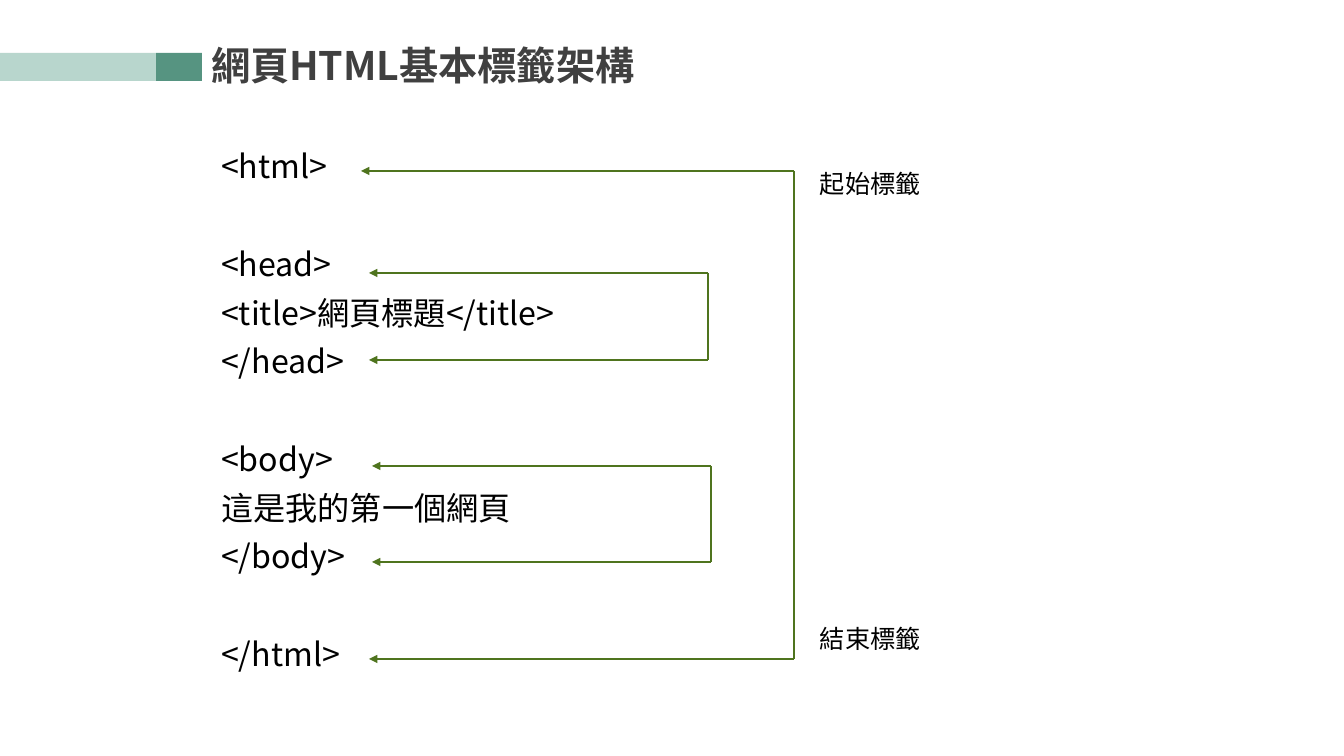
"""Build the slide on the basic tag structure of an HTML page."""
from lxml.etree import SubElement
from pptx import Presentation
from pptx.dml.color import RGBColor as Rgb
from pptx.enum.shapes import MSO_CONNECTOR as Connector, MSO_SHAPE as Preset
from pptx.enum.text import MSO_ANCHOR as Anchor, MSO_AUTO_SIZE as AutoSize, PP_ALIGN as Align
from pptx.oxml.ns import qn
from pptx.util import Pt

EMU_PER_PX = 914400 / 100.8
CJK_FONT = "Noto Sans CJK SC"
COLORS = {"title": "404040", "text": "000000", "dark": "569481",
          "light": "B8D6CD", "bracket": "4F741E"}


def px(*lengths):
    return [round(length * EMU_PER_PX) for length in lengths]


def write(paragraph, text, color, **font_format):
    run = paragraph.add_run()
    run.text = text
    for key, value in font_format.items():
        setattr(run.font, key, value)
    run.font.color.rgb = Rgb.from_string(COLORS[color])
    if font_format["name"] == CJK_FONT:
        SubElement(run.font._element, qn("a:ea"), typeface=CJK_FONT)


deck = Presentation()
deck.slide_width, deck.slide_height = px(1344, 756)
slide = deck.slides.add_slide(deck.slide_layouts[1])
heading, listing = slide.shapes.title, slide.placeholders[1]

for holder, place, anchor in (
    (heading, (201, 42, 1143, 52), Anchor.MIDDLE),
    (listing, (211, 146, 853, 547), Anchor.TOP),
):
    holder.left, holder.top, holder.width, holder.height = px(*place)
    frame_format = {"word_wrap": True, "auto_size": AutoSize.NONE, "vertical_anchor": anchor}
    for key, value in frame_format.items():
        setattr(holder.text_frame, key, value)

title_line = heading.text_frame.paragraphs[0]
title_line.alignment, title_line.line_spacing = Align.LEFT, 0.9
write(title_line, "網頁HTML基本標籤架構", "title", name=CJK_FONT, size=Pt(28), bold=True)

banner = slide.shapes.add_group_shape()
for left, width, color in ((156, 46, "dark"), (0, 156, "light")):
    band = banner.shapes.add_shape(Preset.RECTANGLE, *px(left, 53, width, 28))
    band.shadow.inherit = False
    band.fill.solid()
    band.fill.fore_color.rgb = Rgb.from_string(COLORS[color])
    band.line.fill.background()

code_blocks = (
    ("<html>",),
    ("<head>", "<title>網頁標題</title>", "</head>"),
    ("<body>", "這是我的第一個網頁", "</body>"),
    ("</html>",),
)
LINE_GAP, BLOCK_GAP = Pt(10), Pt(44.8)
code_line = listing.text_frame.paragraphs[0]
for block_number, block in enumerate(code_blocks):
    for line_number, code in enumerate(block):
        if block_number or line_number:
            code_line = listing.text_frame.add_paragraph()
            code_line.space_before = LINE_GAP if line_number else BLOCK_GAP
        else:
            code_line.space_before = Pt(0)
        code_line.line_spacing = 0.9
        indents = code_line._p.get_or_add_pPr()
        indents.set("marL", str(px(50)[0]))
        indents.set("indent", str(px(-50)[0]))
        SubElement(indents, qn("a:buNone"))
        write(code_line, code, "text", name=CJK_FONT, size=Pt(23))

tag_pairs = (
    (794, 171, 659, 361, 369),
    (708, 273, 360, 369, 369),
    (711, 466, 562, 372, 372),
)
for right, top, bottom, opening_tip, closing_tip in tag_pairs:
    for start_y, end_x, end_y, has_arrow in (
        (top, opening_tip, top, True),
        (top, right, bottom, False),
        (bottom, closing_tip, bottom, True),
    ):
        side = slide.shapes.add_connector(
            Connector.STRAIGHT, *px(right, start_y, end_x, end_y))
        side.line.width = Pt(1.5)
        side.line.color.rgb = Rgb.from_string(COLORS["bracket"])
        if has_arrow:
            SubElement(side.line._get_or_add_ln(), qn("a:tailEnd"), type="triangle")
        SubElement(side._element.spPr, qn("a:effectLst"))

for top, caption in ((163, "起始標籤"), (618, "結束標籤")):
    label = slide.shapes.add_textbox(*px(810, top, 122, 40)).text_frame
    label.word_wrap, label.auto_size = False, AutoSize.SHAPE_TO_FIT_TEXT
    write(label.paragraphs[0], caption, "text", name="Arial", size=Pt(18))

deck.save("out.pptx")
